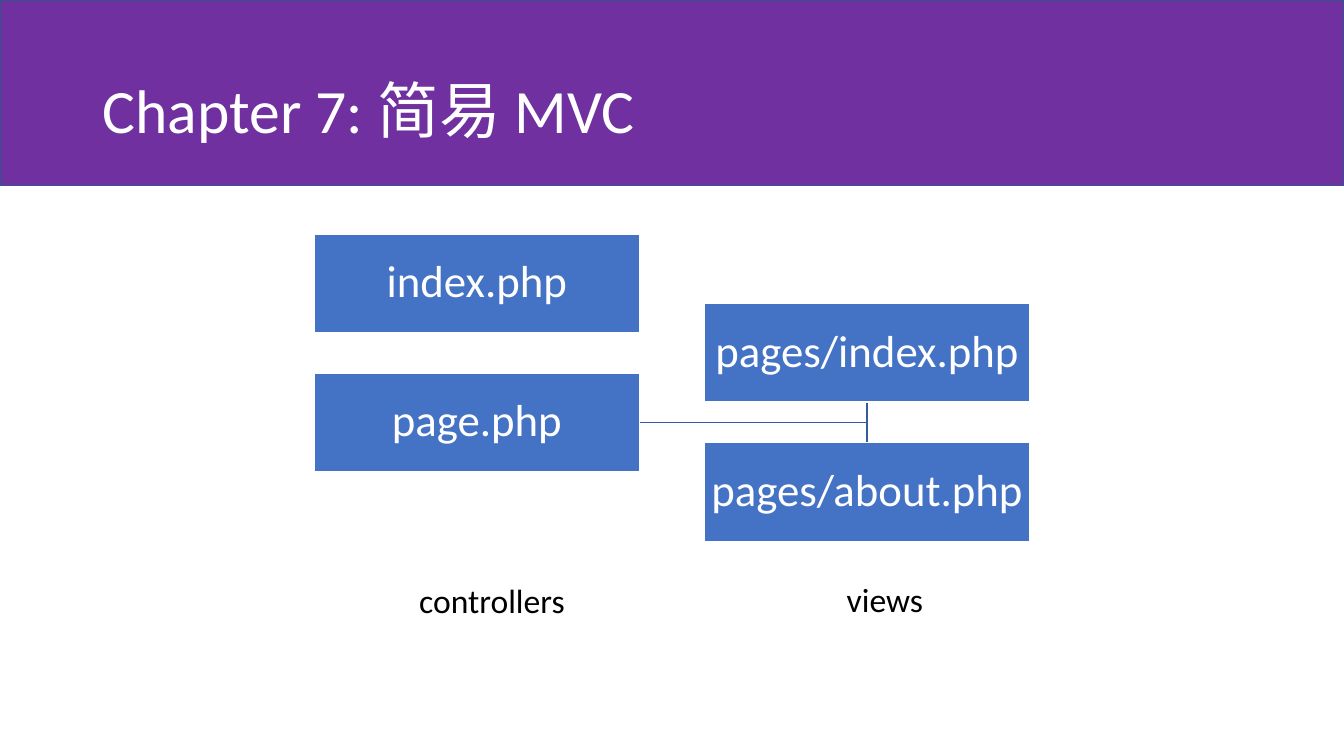
from pptx import Presentation
from pptx.dml.color import RGBColor
from pptx.enum.shapes import MSO_SHAPE
from pptx.enum.text import MSO_ANCHOR, MSO_AUTO_SIZE, PP_ALIGN
from pptx.util import Pt

PX = 9144  # EMU per px, 100 px to the inch
WIDTH, HEIGHT = 1333, 750
BOX_W, BOX_H, BOX_PITCH = 322, 98, 138
CONTROLLERS_X, CONTROLLERS_Y = 312, 232
VIEWS_X, VIEWS_Y = 699, 301


def color(hex_code):
    return RGBColor.from_string(hex_code)


class SlideBuilder:
    font = "Calibri"
    purple, band_edge = "7030A0", "325491"
    blue, link_blue = "4472C4", "365B9D"
    white, black = "FFFFFF", "000000"

    def __init__(self, slide):
        self.shapes = slide.shapes

    def set_text(self, sp, text, size, hex_code, align=PP_ALIGN.LEFT, spacing=1.0):
        p = sp.text_frame.paragraphs[0]
        p.text = text
        p.alignment = align
        p.line_spacing = spacing
        p.font.name = self.font
        p.font.size = Pt(size)
        p.font.color.rgb = color(hex_code)

    def outline(self, sp, hex_code):
        sp.shadow.inherit = False
        sp.line.color.rgb = color(hex_code)
        sp.line.width = Pt(1)

    def rect(self, x, y, w, h, fill, line):
        sp = self.shapes.add_shape(
            MSO_SHAPE.RECTANGLE, x * PX, y * PX, w * PX, h * PX)
        sp.fill.solid()
        sp.fill.fore_color.rgb = color(fill)
        self.outline(sp, line)
        return sp

    def title(self, x, y, w, h, text):
        sp = self.shapes.add_textbox(x * PX, y * PX, w * PX, h * PX)
        tf = sp.text_frame
        tf.word_wrap = True
        tf.vertical_anchor = MSO_ANCHOR.MIDDLE
        self.set_text(sp, text, 44, self.white, spacing=0.9)

    def file_box(self, x, y, text):
        sp = self.rect(x, y, BOX_W, BOX_H, self.blue, self.white)
        tf = sp.text_frame
        tf.word_wrap = True
        tf.vertical_anchor = MSO_ANCHOR.MIDDLE
        tf.margin_left = tf.margin_right = 2 * PX
        tf.margin_top = tf.margin_bottom = 2 * PX
        self.set_text(sp, text, 32, self.white, PP_ALIGN.CENTER, 0.9)

    def link(self, *points):
        """Draw an open, unfilled line through the points."""
        start, *rest = points
        builder = self.shapes.build_freeform(*start, scale=PX)
        builder.add_line_segments(rest, close=False)
        sp = builder.convert_to_shape()
        sp.fill.background()
        self.outline(sp, self.link_blue)

    def caption(self, x, y, w, h, text):
        sp = self.shapes.add_textbox(x * PX, y * PX, w * PX, h * PX)
        sp.text_frame.word_wrap = False
        sp.text_frame.auto_size = MSO_AUTO_SIZE.SHAPE_TO_FIT_TEXT
        self.set_text(sp, text, 24, self.black)


def main():
    prs = Presentation()
    prs.slide_width, prs.slide_height = WIDTH * PX, HEIGHT * PX
    s = SlideBuilder(prs.slides.add_slide(prs.slide_layouts[6]))

    s.rect(0, 0, WIDTH, 184, s.purple, s.band_edge)
    s.title(92, 40, 1150, 145, "Chapter 7: 简易 MVC")

    page_right = CONTROLLERS_X + BOX_W
    page_middle = CONTROLLERS_Y + BOX_PITCH + BOX_H // 2
    views_center = VIEWS_X + BOX_W // 2
    for view_edge in (VIEWS_Y + BOX_PITCH, VIEWS_Y + BOX_H):
        s.link((page_right, page_middle), (views_center, page_middle),
               (views_center, view_edge))

    columns = (
        (CONTROLLERS_X, CONTROLLERS_Y, ("index.php", "page.php")),
        (VIEWS_X, VIEWS_Y, ("pages/index.php", "pages/about.php")),
    )
    for x, y, files in columns:
        for row, name in enumerate(files):
            s.file_box(x, y + row * BOX_PITCH, name)

    s.caption(406, 570, 166, 50, "controllers")
    s.caption(830, 569, 97, 50, "views")
    prs.save("out.pptx")


if __name__ == "__main__":
    main()
